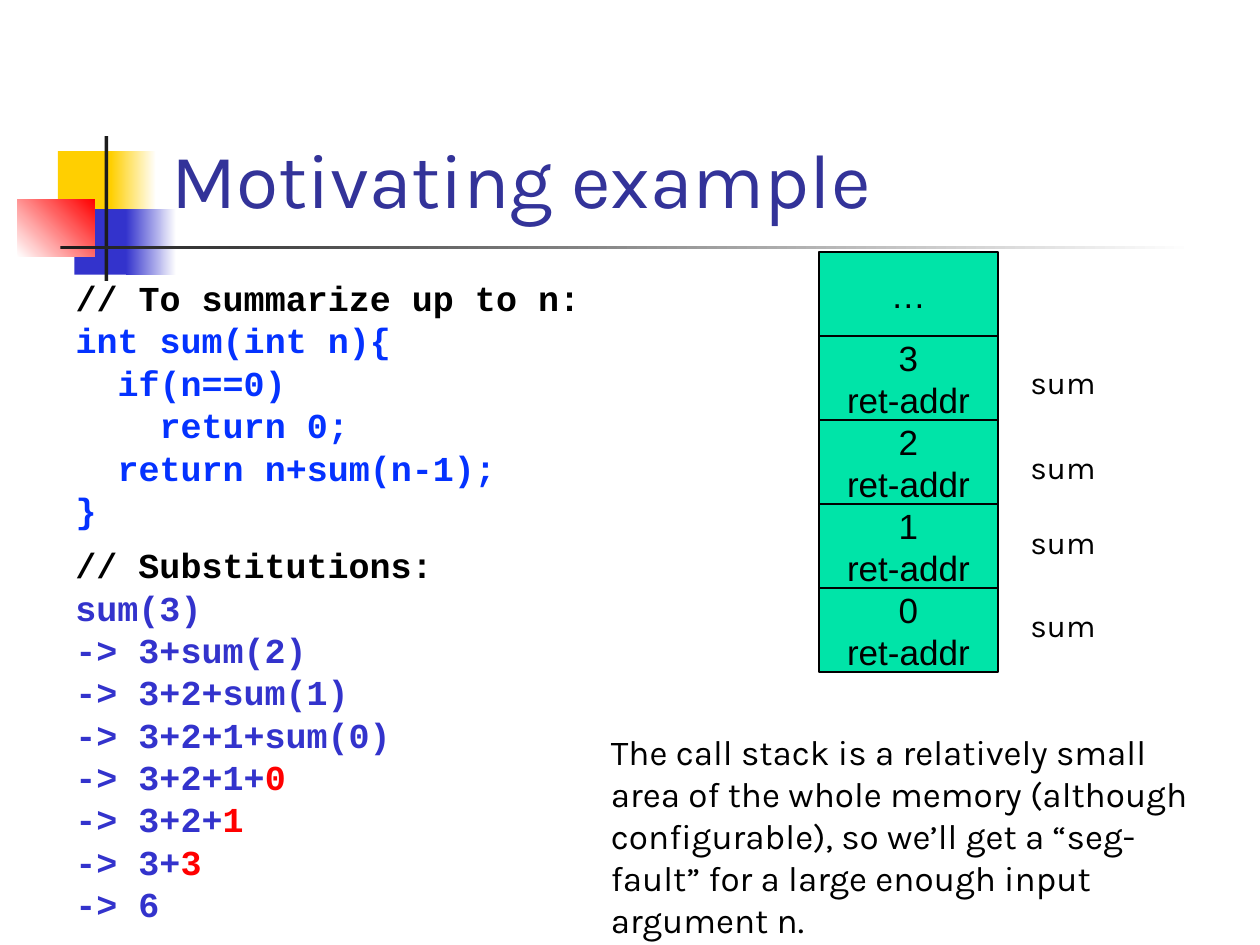
import dataclasses

import pptx
import pptx.dml.color
import pptx.enum.shapes
import pptx.enum.text
import pptx.oxml.ns
import pptx.util
from lxml import etree
from pptx.util import Inches

ANCHOR = pptx.enum.text.MSO_ANCHOR
ALIGN = pptx.enum.text.PP_ALIGN


@dataclasses.dataclass(frozen=True)
class Theme:
    yellow: str = "FFCF01"
    blue: str = "3333CC"
    red: str = "FF0000"
    white: str = "FFFFFF"
    black: str = "000000"
    bar: str = "1C1C1C"
    title: str = "333399"
    code: str = "0432FF"
    frame: str = "00E4A8"
    prose_font: str = "Karla"
    code_font: str = "Courier New"
    stack_font: str = "Arial"
    title_size: int = 44
    text_size: int = 20
    label_size: int = 18


THEME = Theme()


def rgb(color):
    return pptx.dml.color.RGBColor.from_string(color)


def write_text(shape, paragraphs, font=THEME.prose_font, size=THEME.text_size,
               bold=False, align=ALIGN.LEFT, anchor=ANCHOR.TOP, wrap=True,
               hanging=0, line_spacing=None, space_before=0):
    """Each paragraph is a list of (text, color) runs."""
    frame = shape.text_frame
    frame.auto_size = pptx.enum.text.MSO_AUTO_SIZE.NONE
    frame.word_wrap = wrap
    frame.vertical_anchor = anchor
    for number, runs in enumerate(paragraphs):
        paragraph = frame.add_paragraph() if number else frame.paragraphs[0]
        if hanging:
            properties = paragraph._p.get_or_add_pPr()
            properties.set("marL", str(Inches(hanging)))
            properties.set("indent", str(-Inches(hanging)))
            etree.SubElement(properties, pptx.oxml.ns.qn("a:buNone"))
        paragraph.alignment = align
        if line_spacing:
            paragraph.line_spacing = line_spacing
        paragraph.space_before = pptx.util.Pt(space_before if number else 0)
        for text, color in runs:
            run = paragraph.add_run()
            run.text = text
            run.font.name = font
            run.font.size = pptx.util.Pt(size)
            run.font.bold = bold
            run.font.color.rgb = rgb(color)


def place(shape, left, top, width, height):
    shape.left, shape.top = Inches(left), Inches(top)
    shape.width, shape.height = Inches(width), Inches(height)


def add_text(slide, box, paragraphs, **style):
    text_box = slide.shapes.add_textbox(*map(Inches, box))
    write_text(text_box, paragraphs, **style)


def add_rectangle(slide, box, color, fade_to=None, angle=0, outline=None):
    rectangle = slide.shapes.add_shape(
        pptx.enum.shapes.MSO_SHAPE.RECTANGLE, *map(Inches, box))
    rectangle.shadow.inherit = False
    fill = rectangle.fill
    if fade_to:
        fill.gradient()
        fill.gradient_angle = angle
        for stop, stop_color in zip(fill.gradient_stops, (color, fade_to)):
            stop.color.rgb = rgb(stop_color)
    else:
        fill.solid()
        fill.fore_color.rgb = rgb(color)
    if outline:
        rectangle.line.color.rgb = rgb(outline)
        rectangle.line.width = pptx.util.Pt(0.75)
    else:
        rectangle.line.fill.background()
    return rectangle


def add_ornament(slide, left, top):
    """Coloured squares crossed by two bars."""
    parts = [
        ((0.32, 0.12, 0.48, 0.52), THEME.yellow, None, 0),
        ((0.74, 0.12, 0.36, 0.52), THEME.yellow, THEME.white, 0),
        ((0.45, 0.58, 0.46, 0.52), THEME.blue, None, 0),
        ((0.86, 0.58, 0.4, 0.52), THEME.blue, THEME.white, 0),
        ((0, 0.5, 0.61, 0.46), THEME.white, THEME.red, 45),
        ((0.69, 0, 0.03, 1.15), THEME.bar, None, 0),
        ((0.34, 0.87, 9, 0.03), THEME.bar, THEME.white, 0),
    ]
    for (x, y, width, height), color, fade_to, angle in parts:
        add_rectangle(slide, (left + x, top + y, width, height),
                      color, fade_to, angle)


def fill_title(slide, box):
    title = slide.shapes.title
    slide.shapes._spTree.append(title._element)  # in front of the ornament
    place(title, *box)
    write_text(title, [[("Motivating example", THEME.title)]],
               size=THEME.title_size, anchor=ANCHOR.BOTTOM)


CODE_STYLE = dict(font=THEME.code_font, bold=True, hanging=0.38,
                  line_spacing=0.8, space_before=5)


def fill_function(slide, box):
    body = slide.placeholders[1]
    slide.shapes._spTree.append(body._element)
    place(body, *box)
    lines = ["int sum(int n){", "  if(n==0)", "    return 0;",
             "  return n+sum(n-1);", "}"]
    write_text(body, [[("// To summarize up to n:", THEME.black)]]
               + [[(line, THEME.code)] for line in lines], **CODE_STYLE)


def add_substitutions(slide, box):
    # Each step: the open expression and the value just returned
    steps = [("sum(3)", ""), ("-> 3+sum(2)", ""), ("-> 3+2+sum(1)", ""),
             ("-> 3+2+1+sum(0)", ""), ("-> 3+2+1+", "0"), ("-> 3+2+", "1"),
             ("-> 3+", "3"), ("-> 6", "")]
    paragraphs = [[("// Substitutions:", THEME.black)]]
    for expression, value in steps:
        runs = [(expression, THEME.blue)]
        if value:
            runs.append((value, THEME.red))
        paragraphs.append(runs)
    add_text(slide, box, paragraphs, **CODE_STYLE)


def add_call_stack(slide, left, top, width, height):
    frames = [["…"]] + [[str(n), "ret-addr"] for n in (3, 2, 1, 0)]
    frame_height = height / len(frames)
    for row, lines in enumerate(frames):
        frame = add_rectangle(
            slide, (left, top + row * frame_height, width, frame_height),
            THEME.frame, outline=THEME.black)
        write_text(frame, [[(line, THEME.black)] for line in lines],
                   font=THEME.stack_font, align=ALIGN.CENTER,
                   anchor=ANCHOR.MIDDLE, wrap=False)
    # Name of the function that owns each frame
    for offset in (0.83, 1.51, 2.1, 2.76):
        add_text(slide, (left + 1.58, top + offset, 0.92, 0.4),
                 [[("sum", THEME.black)]], size=THEME.label_size)


def add_remark(slide, box):
    remark = ("The call stack is a relatively small area of the whole memory "
              "(although configurable), so we’ll get a “seg-fault” for a "
              "large enough input argument n.")
    add_text(slide, box, [[(remark, THEME.black)]])


def main():
    deck = pptx.Presentation()
    deck.slide_width, deck.slide_height = Inches(10), Inches(7.5)
    slide = deck.slides.add_slide(deck.slide_layouts[1])
    add_ornament(slide, 0.14, 1.08)
    fill_title(slide, (1.26, 0.23, 8.52, 1.6))
    fill_function(slide, (0.5, 2.21, 4.25, 2.13))
    add_substitutions(slide, (0.5, 4.33, 3.58, 2.92))
    add_call_stack(slide, 6.5, 2, 1.42, 10 / 3)
    add_remark(slide, (4.75, 5.75, 4.92, 1.45))
    deck.save("out.pptx")


if __name__ == "__main__":
    main()
